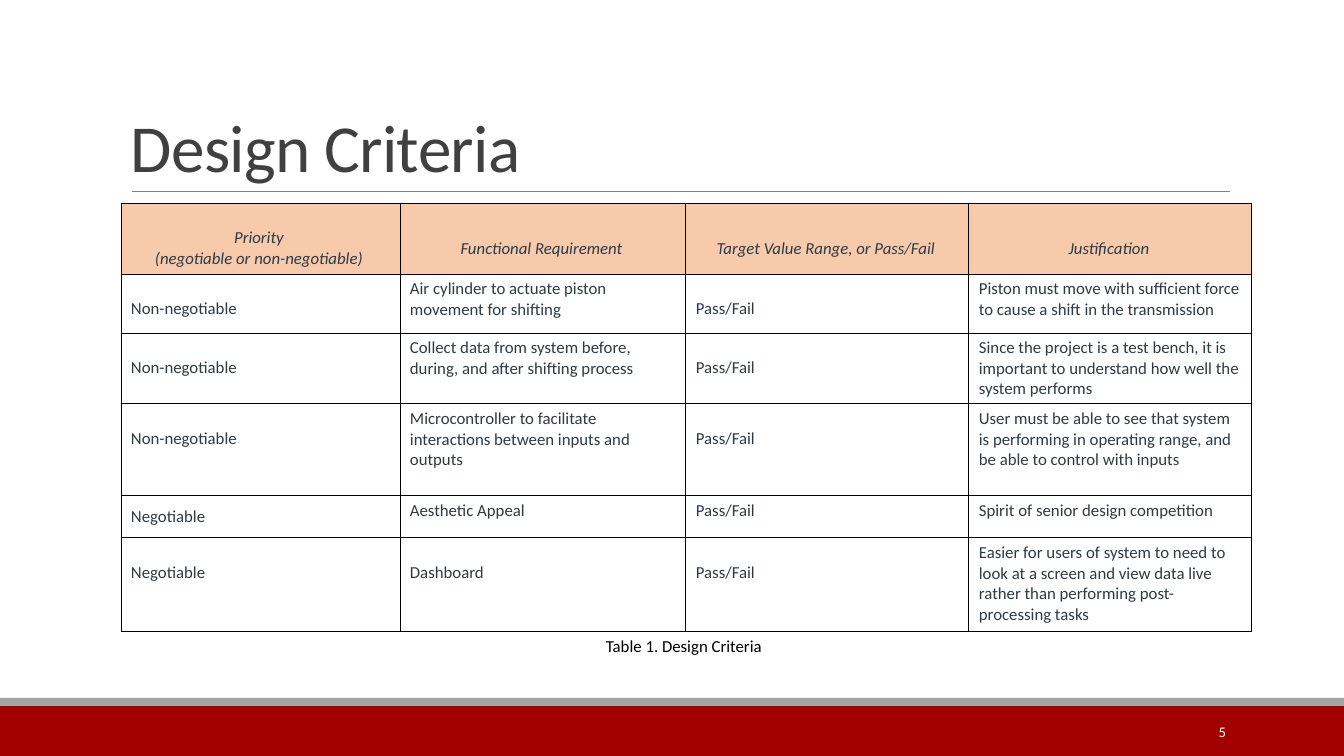
from lxml import etree
from pptx import Presentation
from pptx.dml.color import RGBColor
from pptx.enum.shapes import MSO_CONNECTOR, MSO_SHAPE
from pptx.enum.text import MSO_ANCHOR, PP_ALIGN
from pptx.oxml import parse_xml
from pptx.oxml.ns import nsdecls, qn
from pptx.util import Emu, Pt

RECTANGLE = MSO_SHAPE.RECTANGLE
STRAIGHT = MSO_CONNECTOR.STRAIGHT
TOP, MIDDLE, BOTTOM = MSO_ANCHOR.TOP, MSO_ANCHOR.MIDDLE, MSO_ANCHOR.BOTTOM
LEFT, CENTER, RIGHT = PP_ALIGN.LEFT, PP_ALIGN.CENTER, PP_ALIGN.RIGHT

EMU_PER_PX = 914400 / 100.8
FONT = "Calibri"
INK = "2D3B45"
COLUMN_WIDTHS = [279, 286, 283, 283]
ROW_HEIGHTS = [71, 59, 71, 92, 42, 94]
INSET_X, INSET_Y, LINE_DROP = 10, 5, 20
HEADINGS = [
    ["Priority", "(negotiable or non-negotiable)"],
    ["Functional Requirement"],
    ["Target Value Range, or Pass/Fail"],
    ["Justification"],
]
CRITERIA = [
    ("Non-negotiable", "Air cylinder to actuate piston movement for shifting", "Pass/Fail",
     "Piston must move with sufficient force to cause a shift in the transmission"),
    ("Non-negotiable", "Collect data from system before, during, and after shifting process",
     "Pass/Fail", "Since the project is a test bench, it is important to understand how well "
     "the system performs"),
    ("Non-negotiable", "Microcontroller to facilitate interactions between inputs and outputs",
     "Pass/Fail", "User must be able to see that system is performing in operating range, "
     "and be able to control with inputs"),
    ("Negotiable", "Aesthetic Appeal", "Pass/Fail", "Spirit of senior design competition"),
    ("Negotiable", "Dashboard", "Pass/Fail",
     "Easier for users of system to need to look at a screen and view data live rather than "
     "performing post-processing tasks"),
]
DROPPED_COLUMNS = [{0, 2}, {0, 2}, {0, 2}, set(), {0, 1, 2}]


def px(length):
    """Turn pixels into EMU."""
    return Emu(round(length * EMU_PER_PX))


def color(hex_string):
    """Turn a hex string into a colour."""
    return RGBColor.from_string(hex_string)


def write(frame, lines, size=12, ink=INK, align=LEFT, italic=False, leading=None, tracking=None):
    """Write one paragraph per line into a text frame."""
    for index, line in enumerate(lines):
        paragraph = frame.add_paragraph() if index else frame.paragraphs[0]
        paragraph.alignment = align
        if leading:
            paragraph.line_spacing = leading
        run = paragraph.add_run()
        run.text = line
        run.font.name = FONT
        run.font.size = Pt(size)
        run.font.bold = False
        run.font.italic = italic
        run.font.color.rgb = color(ink)
        if tracking:
            run.font._element.set("spc", str(tracking))


def add_label(slide, box, text, anchor=TOP, wrap=True, **style):
    """Place a line of text in a box."""
    frame = slide.shapes.add_textbox(*map(px, box)).text_frame
    frame.word_wrap = wrap
    frame.vertical_anchor = anchor
    write(frame, [text], **style)


def add_band(slide, box, fill):
    """Place a plain filled rectangle."""
    band = slide.shapes.add_shape(RECTANGLE, *map(px, box))
    band.shadow.inherit = False
    band.fill.solid()
    band.fill.fore_color.rgb = color(fill)
    band.line.fill.background()


def add_footer(slide, left, top, width, height):
    """Place the footer bands and the slide number."""
    stripe = 8
    add_band(slide, (left, top + stripe, width, height - stripe), "A20000")
    add_band(slide, (left, top, width, stripe), "A5A5A5")
    add_label(slide, (left + width - 252, top + 14, 144, 40), "5", anchor=MIDDLE,
              size=10.5, ink="FFFFFF", align=RIGHT)


def add_heading(slide, left, top, width, height):
    """Place the title and the rule beneath it."""
    add_label(slide, (left, top, width, height), "Design Criteria", anchor=BOTTOM,
              size=48, ink="404040", leading=0.85, tracking=-50)
    base = px(top + height)
    rule = slide.shapes.add_connector(STRAIGHT, px(left + 11), base, px(left + width), base)
    rule.line.color.rgb = color("808080")
    rule.line.width = Pt(0.5)
    etree.SubElement(rule._element.spPr, qn("a:effectLst"))


def outline(cell):
    """Draw a thin black border on every side of a cell."""
    properties = cell._tc.get_or_add_tcPr()
    for side in ("lnL", "lnR", "lnT", "lnB"):
        properties.append(parse_xml(
            f'<a:{side} {nsdecls("a")} w="9525"><a:solidFill><a:srgbClr val="000000"/>'
            f'</a:solidFill></a:{side}>'))


def fill_cell(cell, lines, fill=None, dropped=False, anchor=TOP, inset_right=INSET_X, **style):
    """Format a cell and write its text, one line lower if dropped."""
    outline(cell)
    if fill:
        cell.fill.solid()
        cell.fill.fore_color.rgb = color(fill)
    else:
        cell.fill.background()
    cell.margin_left, cell.margin_right = px(INSET_X), px(inset_right)
    cell.margin_top = px(INSET_Y + LINE_DROP * dropped)
    cell.margin_bottom = px(INSET_Y)
    cell.vertical_anchor = anchor
    write(cell.text_frame, lines, **style)


def add_criteria_table(slide, left, top, width, height):
    """Place the criteria table and its caption."""
    table = slide.shapes.add_table(len(ROW_HEIGHTS), len(COLUMN_WIDTHS),
                                   *map(px, (left, top, width, height))).table
    table.horz_banding = False
    for column, column_width in zip(table.columns, COLUMN_WIDTHS):
        column.width = px(column_width)
    for row, row_height in zip(table.rows, ROW_HEIGHTS):
        row.height = px(row_height)
    for column, heading in enumerate(HEADINGS):
        fill_cell(table.cell(0, column), heading, fill="F7CAAC", dropped=True, anchor=MIDDLE,
                  inset_right=INSET_X + 3, align=CENTER, italic=True)
    for row, (criterion, dropped) in enumerate(zip(CRITERIA, DROPPED_COLUMNS), start=1):
        for column, text in enumerate(criterion):
            anchor = MIDDLE if column == 0 and not dropped else TOP
            fill_cell(table.cell(row, column), [text], dropped=column in dropped, anchor=anchor)
    add_label(slide, (left + 475, top + height - 1, 182, 30), "Table 1. Design Criteria",
              wrap=False, ink="000000")


def main():
    """Build the slide and save it."""
    deck = Presentation()
    deck.slide_width, deck.slide_height = px(1344), px(756)
    slide = deck.slides.add_slide(deck.slide_layouts[6])
    add_footer(slide, 0, 698, 1344, 58)
    add_heading(slide, 121, 31, 1109, 160)
    add_criteria_table(slide, 121, 203, sum(COLUMN_WIDTHS), sum(ROW_HEIGHTS))
    deck.save("out.pptx")


if __name__ == "__main__":
    main()
